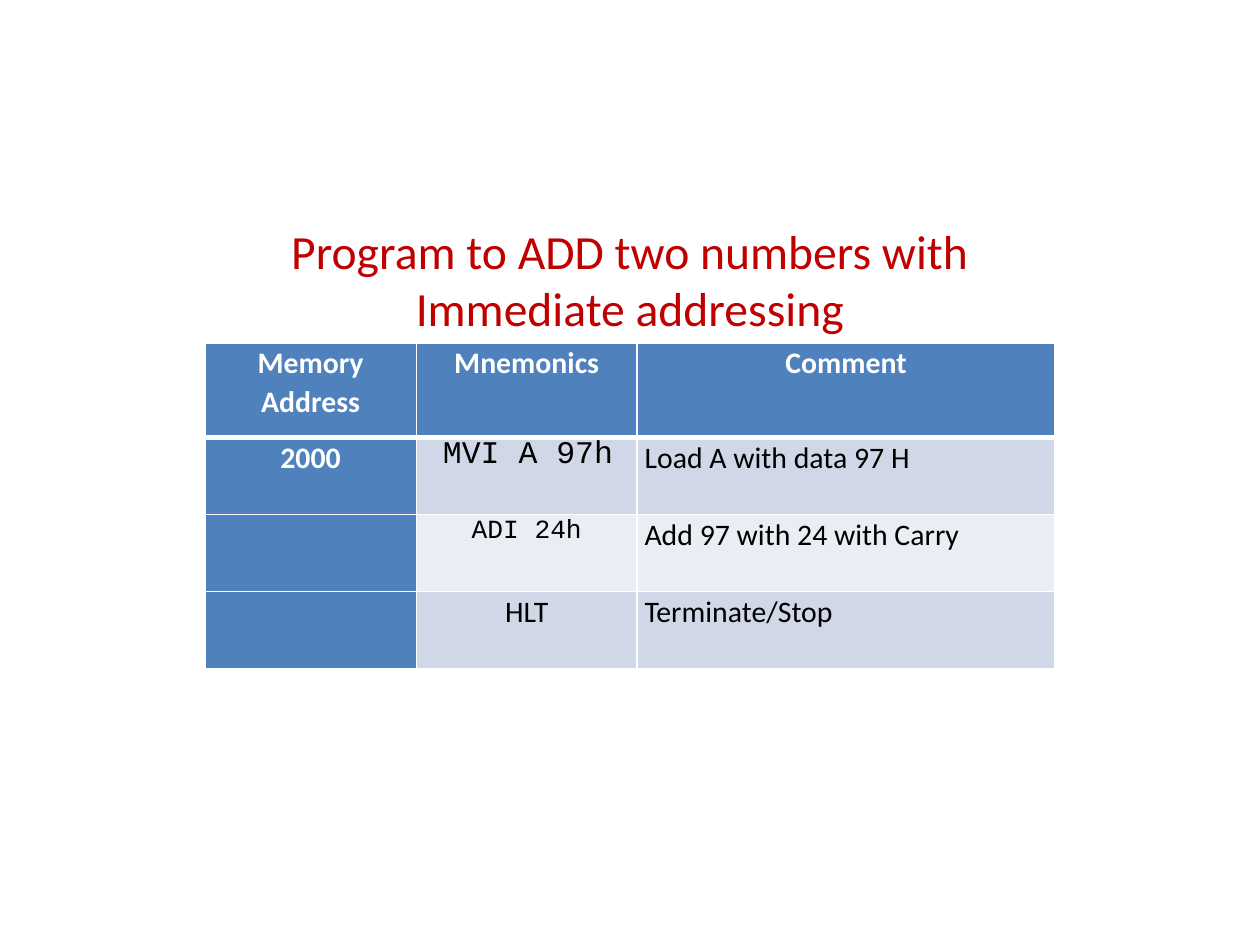
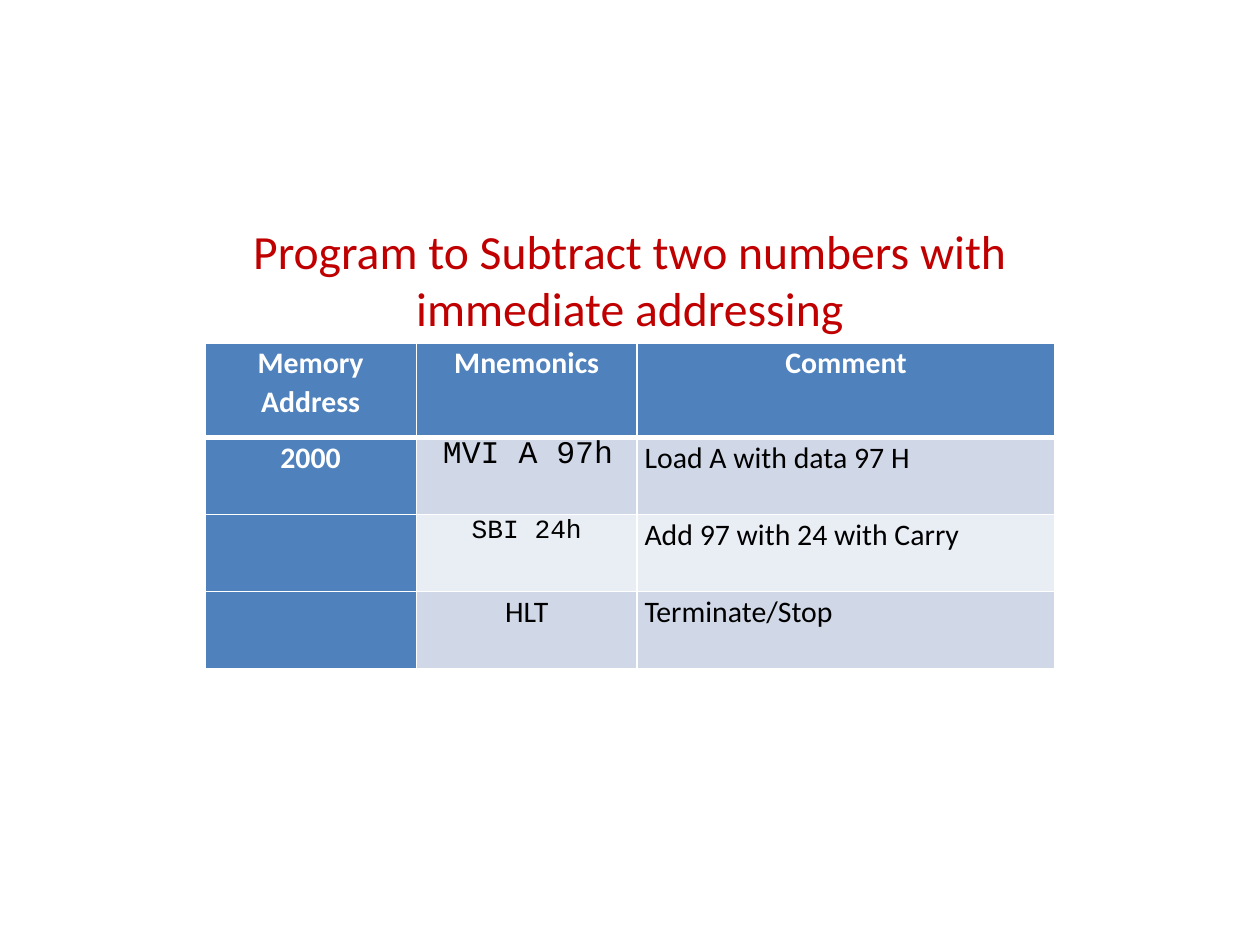
import dataclasses
import typing

import pptx
import pptx.dml.color
import pptx.enum.text
import pptx.oxml
import pptx.oxml.ns
import pptx.util

Pt = pptx.util.Pt
ALIGN = pptx.enum.text.PP_ALIGN
BLUE, PALE, LIGHT = "4F81BD", "D0D8E8", "E9EDF4"
WHITE, BLACK, RED = "FFFFFF", "000000", "C00000"
LEFT = 117
COLS = [121, 126, 239]
ROWS = [54, 44, 44, 44]
PAD = 4.32


@dataclasses.dataclass
class Look:
    size: float = 17
    face: str = "Calibri"
    ink: str = BLACK
    bold: bool = False
    align: int = ALIGN.CENTER
    space: float = 1.07
    inset: float = PAD


HEAD = Look(ink=WHITE, bold=True)
CODE = Look(size=15, face="Courier New")
LOAD = Look(size=18, face="Courier New", align=ALIGN.LEFT, space=1, inset=PAD + 10.8)
NOTE = Look(align=ALIGN.LEFT)
TITLE = Look(size=27.2, ink=RED, space=1)
PLAIN = Look()


@dataclasses.dataclass
class Lesson:
    title: str
    code: str


LESSONS = [
    Lesson("Program to ADD two numbers with Immediate addressing", "ADI 24h"),
    Lesson("Program to Subtract two numbers with immediate addressing", "SBI 24h"),
]


def tint(code: str) -> pptx.dml.color.RGBColor:
    return pptx.dml.color.RGBColor.from_string(code)


def apply(item: typing.Any, form: dict[str, typing.Any]) -> None:
    for name, value in form.items():
        setattr(item, name, value)


def write(frame: typing.Any, text: str, look: Look) -> None:
    frame.text = text
    line = frame.paragraphs[0]
    apply(line, {"alignment": look.align, "line_spacing": look.space})
    for font in [line.font] + [run.font for run in line.runs]:
        apply(font, {"size": Pt(look.size), "name": look.face, "bold": look.bold})
        font.color.rgb = tint(look.ink)


def edge(cell: typing.Any, row: int) -> None:
    props = cell._tc.get_or_add_tcPr()
    widths = {"L": 1, "R": 1, "T": 3 if row == 1 else 1, "B": 3 if row == 0 else 1}
    for side, width in widths.items():
        props.append(pptx.oxml.parse_xml(
            f'<a:ln{side} {pptx.oxml.ns.nsdecls("a")} w="{Pt(width)}">'
            f'<a:solidFill><a:srgbClr val="{WHITE}"/></a:solidFill></a:ln{side}>'))


def shade(row: int, col: int) -> str:
    if row == 0 or col == 0:
        return BLUE
    return PALE if row % 2 else LIGHT


def draw_title(slide: typing.Any, text: str) -> None:
    title = slide.shapes.title
    apply(title, {"left": Pt(LEFT), "top": Pt(90), "width": Pt(sum(COLS)), "height": Pt(90.7)})
    apply(title.text_frame, {
        "word_wrap": True,
        "auto_size": pptx.enum.text.MSO_AUTO_SIZE.NONE,
        "vertical_anchor": pptx.enum.text.MSO_ANCHOR.TOP,
        "margin_top": Pt(36.8),
        "margin_bottom": 0,
    })
    write(title.text_frame, text, TITLE)


def draw_table(slide: typing.Any, code: str) -> None:
    cells = [
        [("Memory Address", HEAD), ("Mnemonics", HEAD), ("Comment", HEAD)],
        [("2000", HEAD), ("MVI A 97h", LOAD), ("Load A with data 97 H", NOTE)],
        [("", HEAD), (code, CODE), ("Add 97 with 24 with Carry", NOTE)],
        [("", HEAD), ("HLT", PLAIN), ("Terminate/Stop", NOTE)],
    ]
    table = slide.shapes.add_table(
        len(ROWS), len(COLS), Pt(LEFT), Pt(196), Pt(sum(COLS)), Pt(sum(ROWS))).table
    apply(table, {"first_col": True, "horz_banding": False})
    for col, width in zip(table.columns, COLS):
        col.width = Pt(width)
    for row, height in zip(table.rows, ROWS):
        row.height = Pt(height)
    for r, line in enumerate(cells):
        for c, (text, look) in enumerate(line):
            cell = table.cell(r, c)
            apply(cell, {"margin_left": Pt(look.inset), "margin_right": Pt(PAD),
                         "margin_top": 0, "margin_bottom": 0})
            edge(cell, r)
            cell.fill.solid()
            cell.fill.fore_color.rgb = tint(shade(r, c))
            write(cell.text_frame, text, look)


def main() -> None:
    deck = pptx.Presentation()
    apply(deck, {"slide_width": Pt(720), "slide_height": Pt(540)})
    for lesson in LESSONS:
        slide = deck.slides.add_slide(deck.slide_layouts.get_by_name("Title Only"))
        draw_title(slide, lesson.title)
        draw_table(slide, lesson.code)
    deck.save("out.pptx")


if __name__ == "__main__":
    main()
